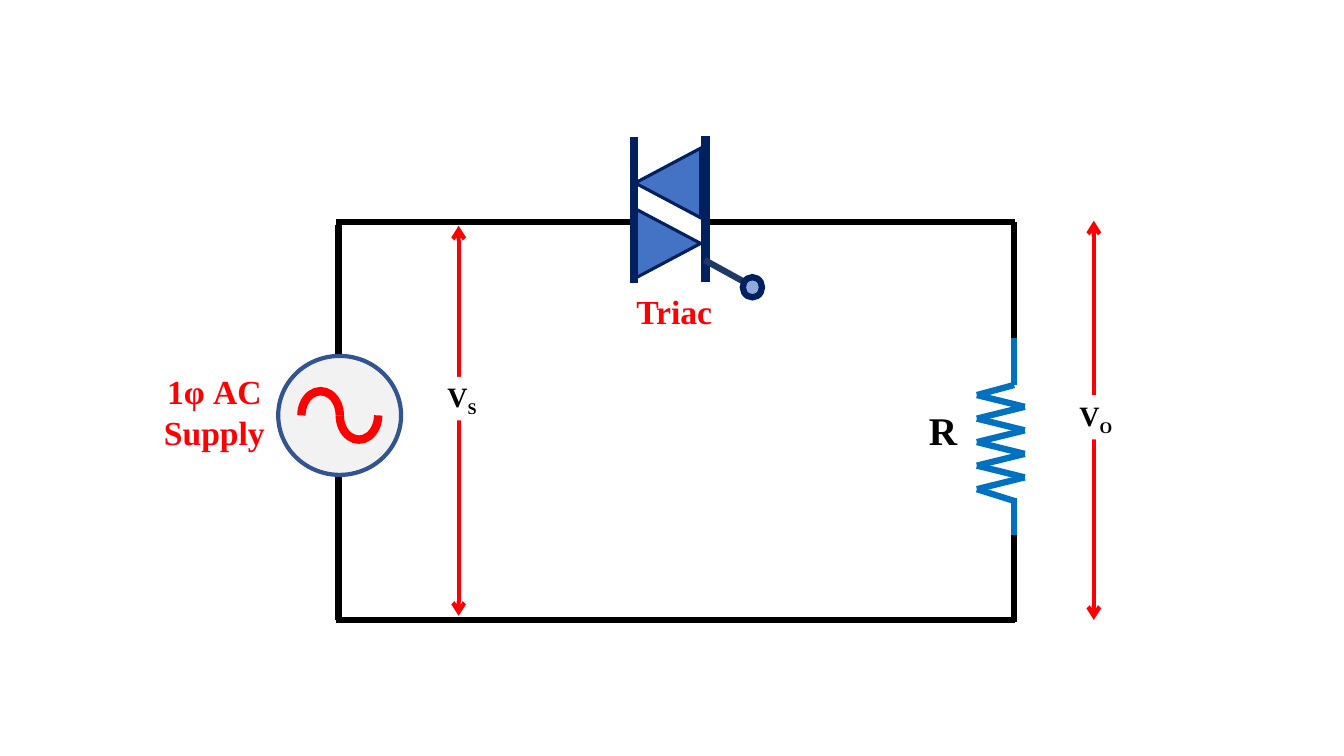
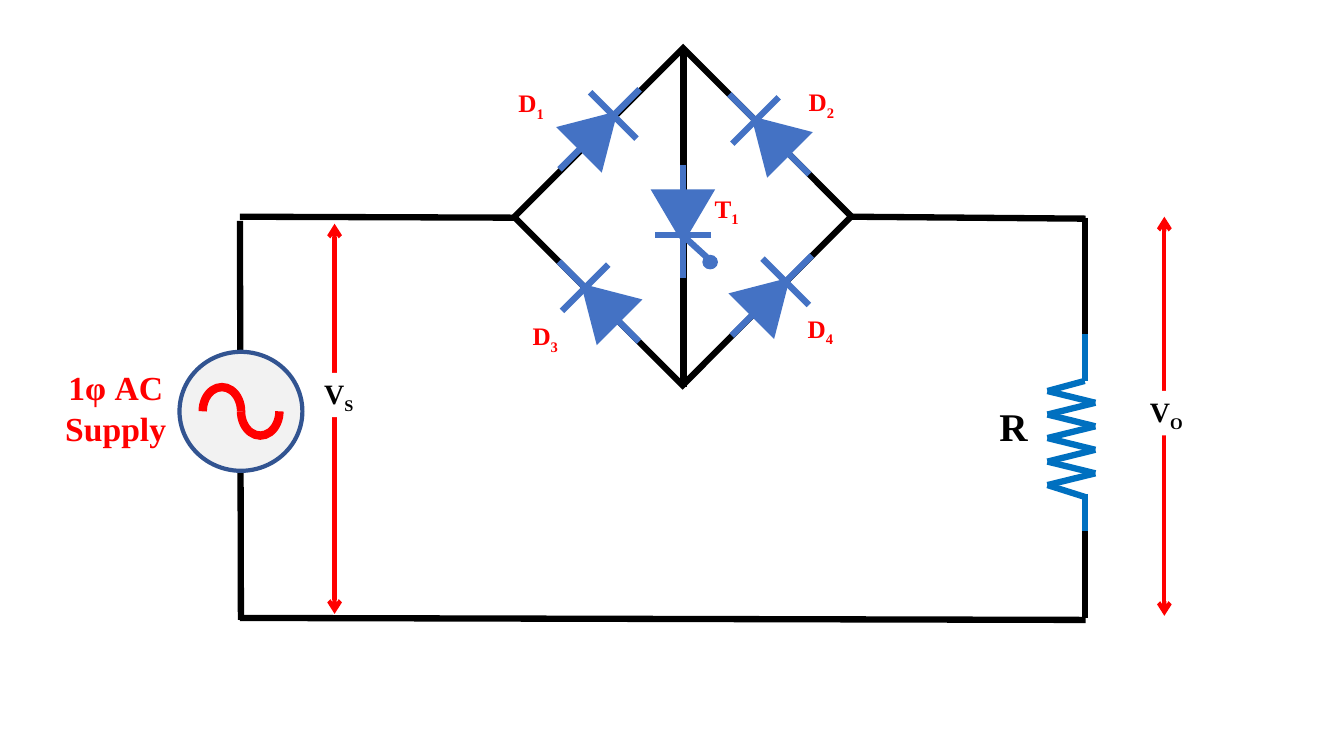
from dataclasses import dataclass
from itertools import pairwise
from math import cos, radians, sin
from typing import Optional, Union

from lxml.etree import SubElement
from pptx import Presentation
from pptx.dml.color import RGBColor
from pptx.enum.shapes import MSO_CONNECTOR, MSO_SHAPE
from pptx.enum.text import MSO_ANCHOR, MSO_AUTO_SIZE, PP_ALIGN
from pptx.oxml.ns import qn
from pptx.shapes.autoshape import Shape
from pptx.shapes.connector import Connector
from pptx.shapes.shapetree import GroupShapes, SlideShapes
from pptx.util import Pt

# Shared look
FONT = "Times New Roman"
BLACK = RGBColor(0x00, 0x00, 0x00)
WHITE = RGBColor(0xFF, 0xFF, 0xFF)
RED = RGBColor(0xFF, 0x00, 0x00)
BLUE = RGBColor(0x44, 0x72, 0xC4)
NAVY = RGBColor(0x00, 0x20, 0x60)
GATE_BLUE = RGBColor(0x20, 0x38, 0x64)
GATE_FILL = RGBColor(0x8F, 0xAA, 0xDC)
RESISTOR_BLUE = RGBColor(0x00, 0x70, 0xC0)
SOURCE_FILL = RGBColor(0xF2, 0xF2, 0xF2)
SOURCE_LINE = RGBColor(0x32, 0x54, 0x91)
WIRE = 4.5

Shapes = Union[SlideShapes, GroupShapes]
Point = tuple[float, float]


@dataclass(frozen=True)
class Box:
    x: float
    y: float
    w: float
    h: float


@dataclass(frozen=True)
class Label:
    box: Box
    text: str
    size: float
    color: RGBColor
    sub: str = ""
    align: Optional[PP_ALIGN] = PP_ALIGN.CENTER


@dataclass(frozen=True)
class Diode:
    """A diode centred on its triangle; distances run along its axis."""
    x: float
    y: float
    angle: float
    label: str
    sub: str
    label_at: Point
    tail: float = 38.1
    tip: float = 42.8
    bar: float = 16.3
    half_bar: float = 23.4


@dataclass(frozen=True)
class Circuit:
    """Places of the parts that both circuits have."""
    wires: tuple[tuple[Point, Point], ...]
    source: Point
    load: Point
    supply_arrow: tuple[Point, Point]
    supply_label: Box


# Drawing helpers
def stroke(sp: Union[Shape, Connector], color: RGBColor, width: float) -> None:
    sp.line.color.rgb = color
    sp.line.width = Pt(width)
    SubElement(sp._element.spPr.get_or_add_ln(), qn("a:miter"), lim="800000")


def line(shapes: Shapes, start: Point, end: Point, color: RGBColor = BLACK,
         width: float = WIRE, arrows: bool = False) -> None:
    sp = shapes.add_connector(MSO_CONNECTOR.STRAIGHT, Pt(start[0]), Pt(start[1]),
                              Pt(end[0]), Pt(end[1]))
    stroke(sp, color, width)
    if arrows:
        for tag in ("a:headEnd", "a:tailEnd"):
            SubElement(sp._element.spPr.get_or_add_ln(), qn(tag), type="arrow")
    SubElement(sp._element.spPr, qn("a:effectLst"))


def shape(shapes: Shapes, kind: MSO_SHAPE, box: Box, fill: Optional[RGBColor] = None,
          color: Optional[RGBColor] = None, width: float = WIRE,
          rotation: float = 0) -> Shape:
    sp = shapes.add_shape(kind, Pt(box.x), Pt(box.y), Pt(box.w), Pt(box.h))
    sp.shadow.inherit = False
    sp.rotation = rotation
    if fill is None:
        sp.fill.background()
    else:
        sp.fill.solid()
        sp.fill.fore_color.rgb = fill
    if color is None:
        sp.line.fill.background()
    else:
        stroke(sp, color, width)
    return sp


def write(sp: Shape, label: Label) -> None:
    tf = sp.text_frame
    tf.word_wrap = True
    tf.auto_size = MSO_AUTO_SIZE.SHAPE_TO_FIT_TEXT
    tf.text = label.text
    p = tf.paragraphs[0]
    p.alignment = label.align
    if label.sub:
        r = p.add_run()
        r.text = label.sub
        r._r.get_or_add_rPr().set("baseline", "-25000")
    for r in p.runs:
        r.font.name = FONT
        r.font.size = Pt(label.size)
        r.font.bold = True
        r.font.color.rgb = label.color


def text(shapes: Shapes, label: Label) -> None:
    box = label.box
    write(shapes.add_textbox(Pt(box.x), Pt(box.y), Pt(box.w), Pt(box.h)), label)


# Circuit parts
def draw_source(shapes: Shapes, x: float, y: float) -> None:
    group = shapes.add_group_shape().shapes
    shape(group, MSO_SHAPE.OVAL, Box(x, y, 87.8, 85), SOURCE_FILL, SOURCE_LINE, 3)
    for dx, rotation in ((16.6, 0), (44, 180)):
        wave = shape(group, MSO_SHAPE.ARC, Box(x + dx, y + 25.2, 27.4, 34.6),
                     color=RED, width=6, rotation=rotation)
        wave.adjustments[0] = 108
        wave.adjustments[1] = 0
    text(shapes, Label(Box(x - 101, y + 7.5, 110.9, 65.5), "1φ AC Supply", 24, RED))


def draw_resistor(shapes: Shapes, x: float, y: float) -> None:
    group = shapes.add_group_shape().shapes
    teeth = [(x + (7.6 if i % 2 else -26.6), y + 58.3 + 8.4 * i) for i in range(9)]
    for start, end in pairwise([(x, y), (x, y + 51.1), *teeth, (x, y + 133.9)]):
        line(group, start, end, RESISTOR_BLUE)
    line(group, (x, y + 131.8), (x, y + 182.9), RESISTOR_BLUE)


def draw_voltage(shapes: Shapes, start: Point, end: Point, box: Box, sub: str) -> None:
    line(shapes, start, end, RED, 3, arrows=True)
    sp = shape(shapes, MSO_SHAPE.RECTANGLE, box, WHITE)
    sp.text_frame.vertical_anchor = MSO_ANCHOR.MIDDLE
    write(sp, Label(box, "V", 20, BLACK, sub))


def draw_load(shapes: Shapes, x: float, y: float) -> None:
    draw_resistor(shapes, x, y)
    line(shapes, (x, y - 65.5), (x, y + 17.3))
    line(shapes, (x, y + 158.4), (x, y + 220.3))
    text(shapes, Label(Box(x - 68, y + 62.6, 27.4, 41), "R", 28, BLACK, align=None))
    draw_voltage(shapes, (x + 56.9, y - 66.2), (x + 56.9, y + 218.9),
                 Box(x + 30.6, y + 58.3, 55.4, 31.7), "O")


def draw_circuit(shapes: Shapes, circuit: Circuit) -> None:
    for start, end in circuit.wires:
        line(shapes, start, end)
    draw_source(shapes, *circuit.source)
    draw_load(shapes, *circuit.load)
    draw_voltage(shapes, *circuit.supply_arrow, circuit.supply_label, "S")


def draw_triac(shapes: Shapes) -> None:
    group = shapes.add_group_shape().shapes
    for top, rotation, bar_x, bar_top in ((150.5, 90, 452.9, 97.9),
                                          (107.3, 270, 504, 97.2)):
        shape(group, MSO_SHAPE.ISOSCELES_TRIANGLE, Box(452.2, top, 49.7, 46.8),
              BLUE, NAVY, 2.25, rotation)
        line(group, (bar_x, bar_top + 104.4), (bar_x, bar_top), NAVY, 6)
    line(group, (503.3, 185.8), (538.6, 205.2), GATE_BLUE)
    shape(group, MSO_SHAPE.OVAL, Box(530.6, 198, 13.7, 14.4), GATE_FILL, NAVY)
    text(shapes, Label(Box(426.2, 204.5, 110.9, 36), "Triac", 24, RED))


def draw_diode(shapes: Shapes, d: Diode) -> None:
    ux, uy = sin(radians(d.angle)), -cos(radians(d.angle))

    def place(along: float, across: float = 0) -> Point:
        return d.x + along * ux - across * uy, d.y + along * uy + across * ux

    group = shapes.add_group_shape().shapes
    line(group, place(-d.tail), place(d.tip), BLUE)
    shape(group, MSO_SHAPE.ISOSCELES_TRIANGLE, Box(d.x - 19.1, d.y - 16.2, 38.2, 32.4),
          BLUE, BLUE, rotation=d.angle)
    line(group, place(d.bar, -d.half_bar), place(d.bar, d.half_bar), BLUE)
    text(shapes, Label(Box(*d.label_at, 43.2, 28.8), d.label, 18, RED, d.sub))


def draw_bridge(shapes: Shapes) -> None:
    shape(shapes, MSO_SHAPE.RECTANGLE, Box(402.5, 69.8, 170.6, 170), color=BLACK,
          rotation=315)
    for diode in BRIDGE_DIODES:
        draw_diode(shapes, diode)
    # Thyristor gate
    line(shapes, (488.9, 169.2), (506.2, 185), BLUE)
    shape(shapes, MSO_SHAPE.OVAL, Box(504, 184.3, 6.5, 5.8), BLUE, BLUE)


# Content
TRIAC_CIRCUIT = Circuit(
    wires=(((452.9, 158.4), (239.8, 158.4)), ((241.9, 160.6), (241.9, 442.8)),
           ((725, 158.4), (504, 158.4)), ((725, 442.8), (239.8, 442.8))),
    source=(198.7, 254.2),
    load=(724.4, 223.9),
    supply_arrow=((327.6, 161.3), (327.6, 439.9)),
    supply_label=Box(302.4, 269.3, 55.4, 31),
)
BRIDGE_CIRCUIT = Circuit(
    wires=(((488.2, 276.5), (488.2, 35.3)), ((171.4, 157.7), (172.1, 442.8)),
           ((367.9, 155.5), (171.4, 154.8)), ((775.4, 442.8), (171.4, 441.4)),
           ((775.4, 156.2), (608.4, 154.8))),
    source=(128.2, 251.3),
    load=(774.8, 221),
    supply_arrow=((239, 159.8), (239, 438.5)),
    supply_label=Box(218.2, 266.4, 47.5, 31.7),
)
BRIDGE_DIODES = (
    Diode(487.8, 153.7, 180, "T", "1", (497.5, 134.6), 35.6, 45, 14, 20.2),
    Diode(426.6, 94, 45, "D", "1", (357.8, 59)),
    Diode(551.2, 97.6, 315, "D", "2", (565.2, 58.3)),
    Diode(429.5, 217.1, 315, "D", "3", (367.9, 225.4)),
    Diode(549.7, 212.8, 45, "D", "4", (564.5, 220.3)),
)

# Slides
prs = Presentation()
prs.slide_width, prs.slide_height = Pt(960), Pt(540)
for circuit, draw_switch in ((TRIAC_CIRCUIT, draw_triac), (BRIDGE_CIRCUIT, draw_bridge)):
    s = prs.slides.add_slide(prs.slide_layouts[6])
    draw_circuit(s.shapes, circuit)
    draw_switch(s.shapes)
prs.save("out.pptx")
